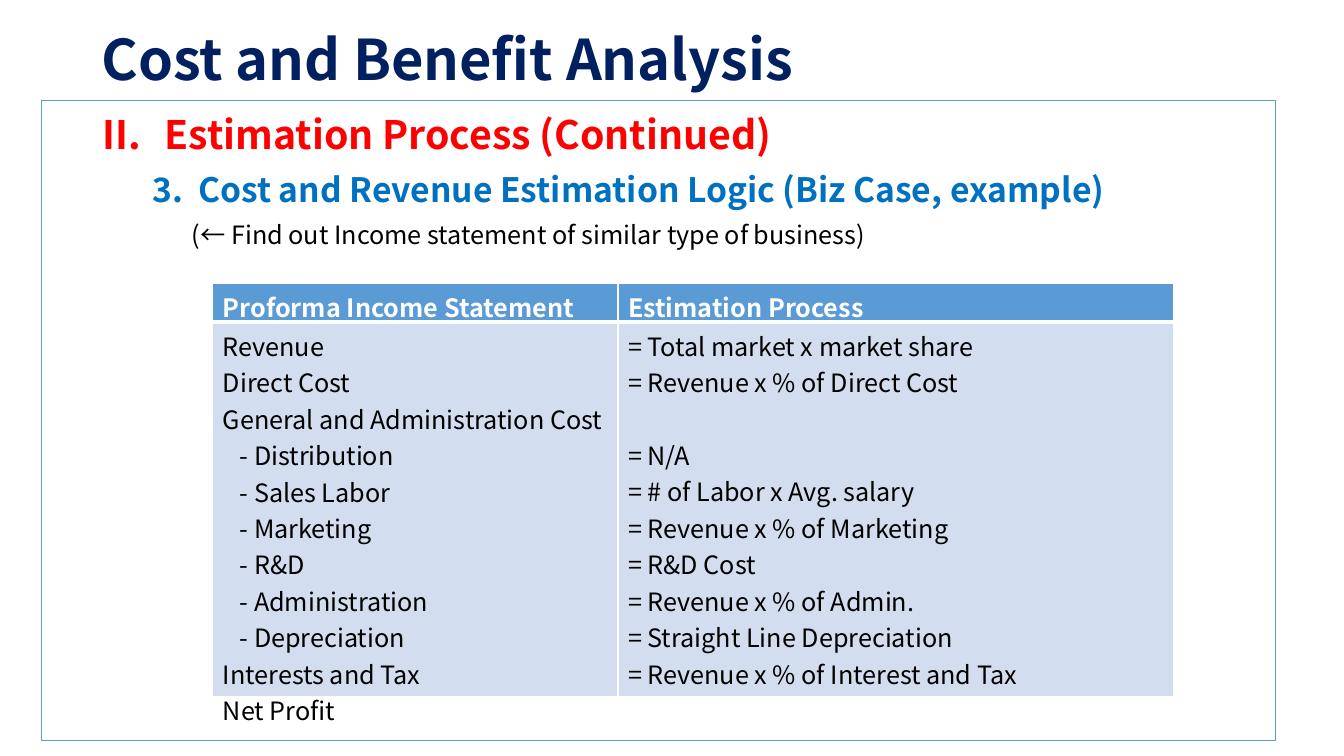
from pptx import Presentation
from pptx.dml.color import RGBColor
from pptx.enum.shapes import MSO_SHAPE
from pptx.enum.text import MSO_ANCHOR
from pptx.oxml import parse_xml
from pptx.oxml.ns import nsdecls
from pptx.util import Pt

FONT = "Noto Sans CJK KR"
NAVY = RGBColor(0x00, 0x20, 0x60)
RED = RGBColor(0xFF, 0x00, 0x00)
BLUE = RGBColor(0x00, 0x70, 0xC0)
SKY = RGBColor(0x5B, 0x9B, 0xD5)
PALE = RGBColor(0xD2, 0xDE, 0xEF)
BLACK = RGBColor(0x00, 0x00, 0x00)
WHITE = RGBColor(0xFF, 0xFF, 0xFF)

# Content
TITLE = "Cost and Benefit Analysis"
# text, left margin, first-line indent, font format
OUTLINE = [
    ("Estimation Process (Continued)", 80.64, -44.64,
     {"size": Pt(28), "bold": True, "color": RED}),
    ("3.\tCost and Revenue Estimation Logic (Biz Case, example)", 104.7, -32.7,
     {"size": Pt(24), "bold": True, "color": BLUE}),
    ("(← Find out Income statement of similar type of business)", 100, 0,
     {"size": Pt(18), "bold": False, "color": BLACK}),
]
HEADINGS = ("Proforma Income Statement", "Estimation Process")
STATEMENT = [
    ("Revenue", "= Total market x market share"),
    ("Direct Cost", "= Revenue x % of Direct Cost"),
    ("General and Administration Cost", None),
    ("- Distribution", "= N/A"),
    ("- Sales Labor", "= # of Labor x Avg. salary"),
    ("- Marketing", "= Revenue x % of Marketing"),
    ("- R&D", "= R&D Cost"),
    ("- Administration", "= Revenue x % of Admin."),
    ("- Depreciation", "= Straight Line Depreciation"),
    ("Interests and Tax", "= Revenue x % of Interest and Tax"),
    ("Net Profit", None),
]
COLUMN_WIDTHS = (289.4, 396.8)
HEADER_HEIGHT, BODY_HEIGHT = 27.4, 267.8
LINE_HEIGHT = 26
SUB_ITEM_INDENT = 12


def write(paragraph, text, style):
    run = paragraph.add_run()
    run.text = text
    run.font.name = FONT
    for key, value in style.items():
        if key == "color":
            run.font.color.rgb = value
        else:
            setattr(run.font, key, value)


def next_paragraph(frame, index):
    return frame.paragraphs[0] if index == 0 else frame.add_paragraph()


def indent(paragraph, left, first=0):
    properties = paragraph._p.get_or_add_pPr()
    properties.set("marL", str(Pt(left)))
    properties.set("indent", str(Pt(first)))
    return properties


def border(cell, **widths):
    properties = cell._tc.get_or_add_tcPr()
    for position, side in enumerate("LRTB"):
        properties.insert(position, parse_xml(
            f'<a:ln{side} {nsdecls("a")} w="{Pt(widths.get(side, 1))}">'
            f'<a:solidFill><a:srgbClr val="{WHITE}"/></a:solidFill></a:ln{side}>'))


deck = Presentation()
deck.slide_width, deck.slide_height = Pt(960), Pt(540)
slide = deck.slides.add_slide(deck.slide_layouts[6])

# Framed outline
panel = slide.shapes.add_shape(MSO_SHAPE.RECTANGLE, Pt(30), Pt(72), Pt(881.3), Pt(457.2))
panel.shadow.inherit = False
panel.fill.background()
panel.line.color.rgb, panel.line.width = SKY, Pt(0.75)
panel.text_frame.vertical_anchor = MSO_ANCHOR.TOP
panel.text_frame.word_wrap = True
for index, (text, left, first, style) in enumerate(OUTLINE):
    entry = next_paragraph(panel.text_frame, index)
    entry.alignment = 1
    entry.line_spacing, entry.space_before = 1.1, Pt(5)
    properties = indent(entry, left, first)
    if index == 0:
        properties.append(parse_xml(
            f'<a:buAutoNum {nsdecls("a")} type="romanUcPeriod" startAt="2"/>'))
    write(entry, text, style)

# Title
title = slide.shapes.add_textbox(Pt(65.5), Pt(13.7), Pt(846), Pt(55.4)).text_frame
title.word_wrap = True
title.vertical_anchor = MSO_ANCHOR.MIDDLE
write(title.paragraphs[0], TITLE, {"size": Pt(40), "bold": True, "color": NAVY})

# Income statement table
statement = slide.shapes.add_table(2, 2, Pt(152), Pt(202.5), Pt(sum(COLUMN_WIDTHS)),
                                   Pt(HEADER_HEIGHT + BODY_HEIGHT)).table
statement.rows[0].height, statement.rows[1].height = Pt(HEADER_HEIGHT), Pt(BODY_HEIGHT)
for column, (heading, width) in enumerate(zip(HEADINGS, COLUMN_WIDTHS)):
    statement.columns[column].width = Pt(width)
    header, body = statement.cell(0, column), statement.cell(1, column)
    for cell, fill, overflow in ((header, SKY, 6), (body, PALE, 26)):
        cell.fill.solid()
        cell.fill.fore_color.rgb = fill
        cell.margin_bottom = Pt(3.6 - overflow)
    border(header, B=3)
    border(body, T=3)
    write(header.text_frame.paragraphs[0], heading,
          {"size": Pt(18), "bold": True, "color": WHITE})
    gap = written = 0
    for row in STATEMENT:
        text = row[column]
        if text is None:
            gap += LINE_HEIGHT
            continue
        line = next_paragraph(body.text_frame, written)
        line.space_before = Pt(gap)
        if text.startswith("- "):
            indent(line, SUB_ITEM_INDENT)
        write(line, text, {"size": Pt(18), "bold": False, "color": BLACK})
        gap, written = 0, written + 1

deck.save("out.pptx")
